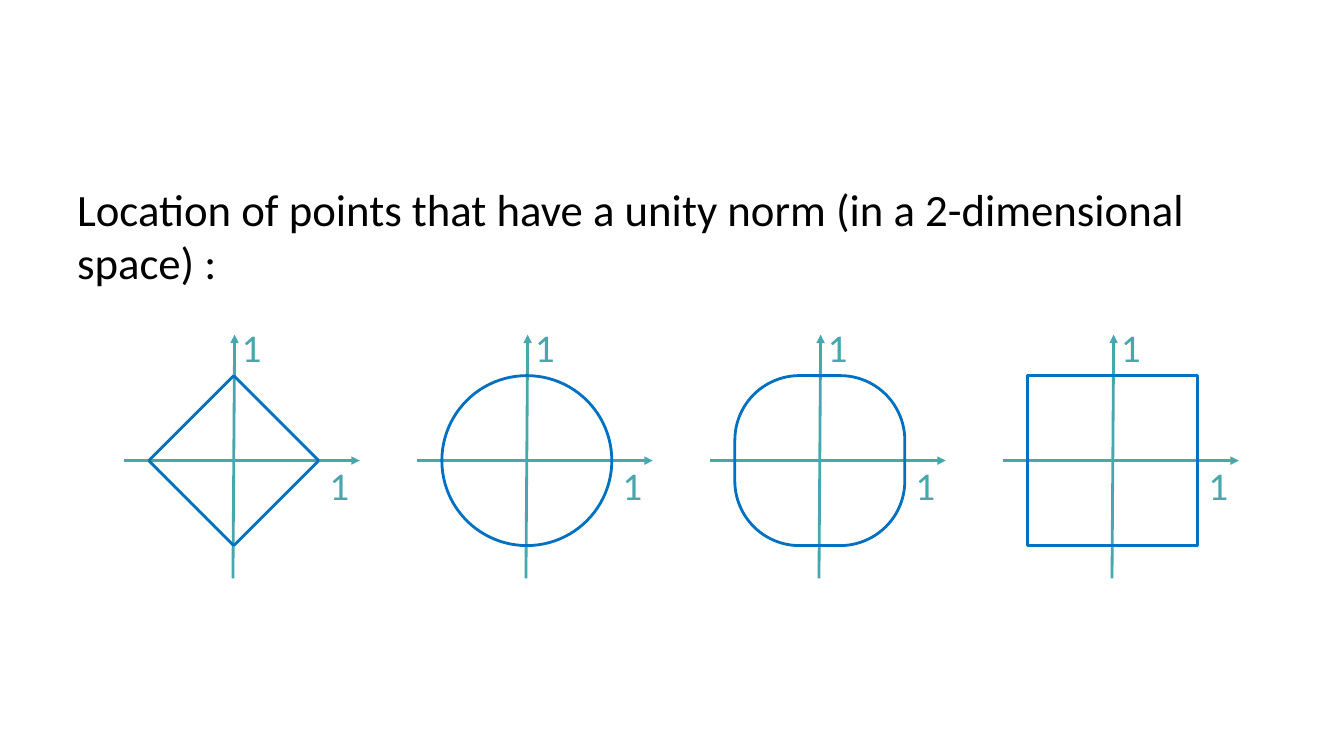
"""Build a slide showing the unit-norm curves in two dimensions."""
from lxml.etree import SubElement
from pptx import Presentation
from pptx.dml.color import RGBColor
from pptx.enum.shapes import MSO_CONNECTOR, MSO_SHAPE
from pptx.enum.text import MSO_AUTO_SIZE
from pptx.oxml.ns import qn
from pptx.util import Pt

HUES = {"text": "000000", "axis": "48A6AD", "curve": "0070C0", "square": "0472C1"}


def add_line(group, x1, y1, x2, y2, hue, arrow=False):
    line = group.shapes.add_connector(MSO_CONNECTOR.STRAIGHT, Pt(x1), Pt(y1), Pt(x2), Pt(y2))
    line.line.color.rgb = RGBColor.from_string(HUES[hue])
    line.line.width = Pt(2)
    if arrow:
        SubElement(line.line._get_or_add_ln(), qn("a:tailEnd"), type="triangle")
    SubElement(line._element.spPr, qn("a:effectLst"))


def add_text(owner, words, x, y, w, h, size, hue, wrap):
    box = owner.shapes.add_textbox(Pt(x), Pt(y), Pt(w), Pt(h))
    frame = box.text_frame
    frame.word_wrap = wrap
    frame.auto_size = MSO_AUTO_SIZE.NONE if wrap else MSO_AUTO_SIZE.SHAPE_TO_FIT_TEXT
    run = frame.paragraphs[0].add_run()
    run.text = words
    run.font.name = "Calibri"
    run.font.size = Pt(size)
    run.font.color.rgb = RGBColor.from_string(HUES[hue])


deck = Presentation()
deck.slide_width, deck.slide_height = Pt(960), Pt(540)
slide = deck.slides.add_slide(deck.slide_layouts[6])

add_text(slide, "Location of points that have a unity norm (in a 2-dimensional space) :",
         48, 126, 864, 356.4, 32, "text", True)

left, pitch, mid, unit = 167, 209.3, 329, 60.7
curves = [
    (None, "curve"),
    (MSO_SHAPE.OVAL, "curve"),
    (MSO_SHAPE.ROUNDED_RECTANGLE, "curve"),
    (MSO_SHAPE.RECTANGLE, "square"),
]

for index, (kind, hue) in enumerate(curves):
    x = left + index * pitch
    group = slide.shapes.add_group_shape()
    add_line(group, x - 78.4, mid, x + 90, mid, "axis", True)
    add_line(group, x - 0.6, mid + 84.2, x + 0.6, mid - 90, "axis", True)
    for dx, dy in [(61.2, -2.8), (-1.4, -101.5)]:
        add_text(group, "1", x + dx, mid + dy, 28.8, 41.2, 28, "axis", False)
    if kind is None:
        for side in (-1, 1):
            for end in (-1, 1):
                add_line(group, x, mid + end * unit, x + side * unit, mid, hue)
        continue
    curve = group.shapes.add_shape(kind, Pt(x - unit), Pt(mid - unit), Pt(2 * unit), Pt(2 * unit))
    curve.shadow.inherit = False
    curve.fill.background()
    curve.line.color.rgb = RGBColor.from_string(HUES[hue])
    curve.line.width = Pt(2)
    if kind == MSO_SHAPE.ROUNDED_RECTANGLE:
        curve.adjustments[0] = 0.38

deck.save("out.pptx")
